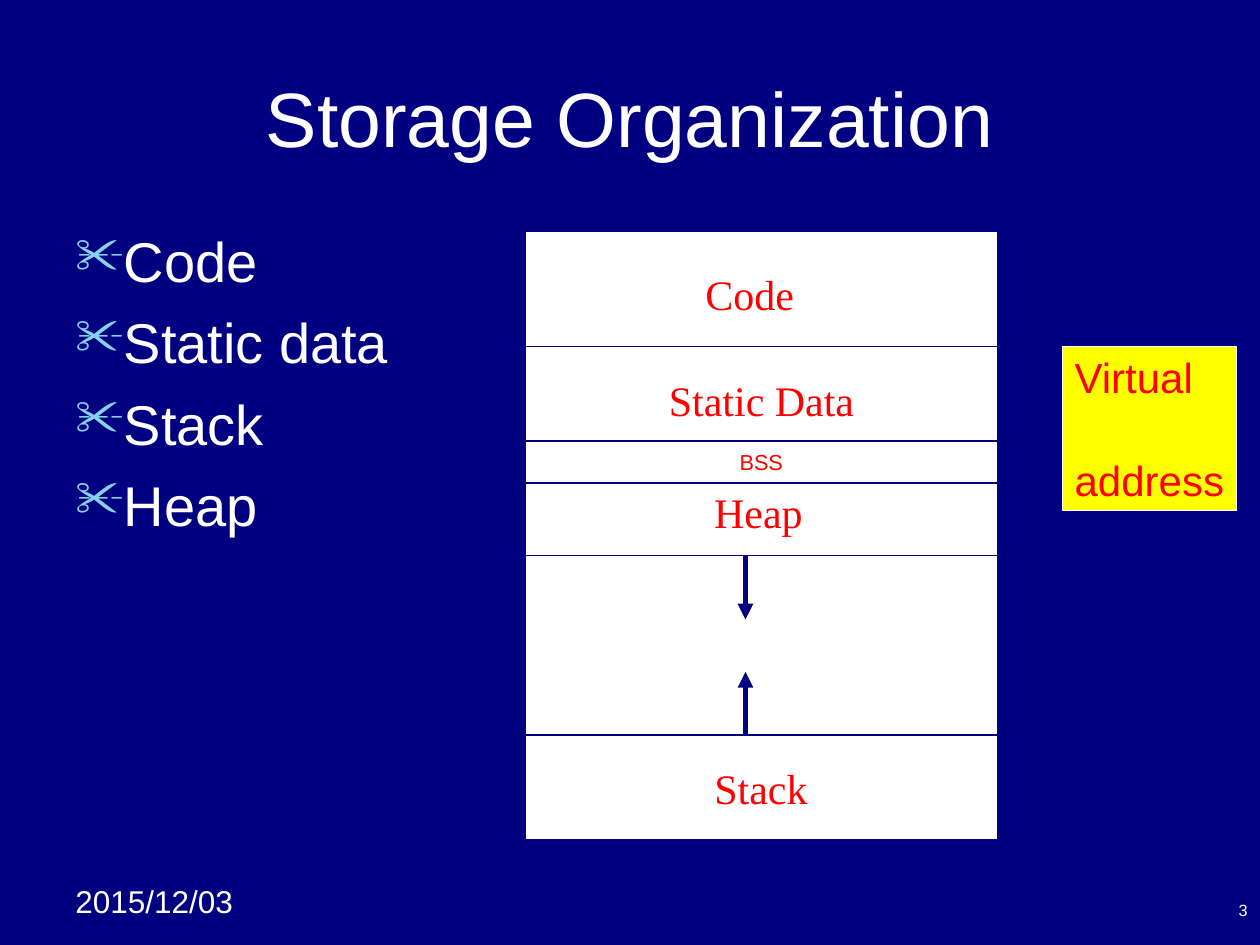
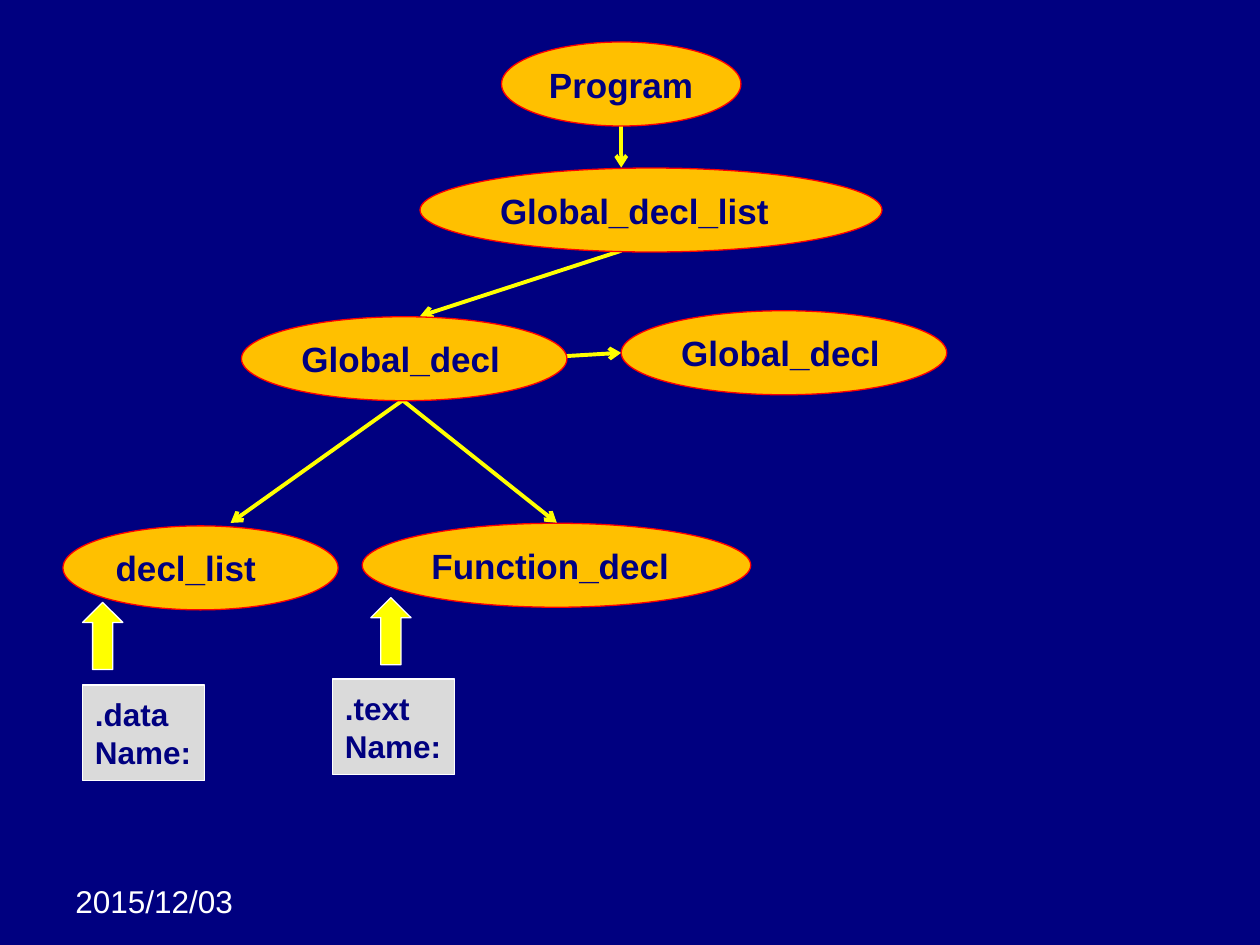
"""Build two slides on storage organization and the declaration tree."""
import lxml.etree
import pptx
import pptx.dml.color
import pptx.enum.shapes
import pptx.enum.text
import pptx.oxml.ns
import pptx.util

Pt = pptx.util.Pt
qn = pptx.oxml.ns.qn
SHAPE = pptx.enum.shapes.MSO_SHAPE
ANCHOR = pptx.enum.text.MSO_ANCHOR
ALIGN = pptx.enum.text.PP_ALIGN

NAVY, WHITE, RED, YELLOW = "000080", "FFFFFF", "FF0000", "FFFF00"
AMBER, GREY, SKY = "FFC000", "DADADA", "86D1EC"


def colour(hex_code):
    return pptx.dml.color.RGBColor.from_string(hex_code)


def write(shape, lines, size, ink, font="Arial", bold=False, align=ALIGN.LEFT,
          anchor=ANCHOR.MIDDLE, wrap=True, gap=0):
    frame = shape.text_frame
    frame_format = {
        "margin_left": Pt(7.2), "margin_right": Pt(7.2),
        "margin_top": Pt(3.6), "margin_bottom": Pt(3.6),
        "vertical_anchor": anchor, "word_wrap": wrap,
    }
    for key, value in frame_format.items():
        setattr(frame, key, value)
    for index, line in enumerate(lines):
        paragraph = frame.paragraphs[0] if index == 0 else frame.add_paragraph()
        paragraph.alignment = align
        paragraph.space_before = Pt(gap if index else 0)
        run = paragraph.add_run()
        run.text = line
        for key, value in {"name": font, "size": Pt(size), "bold": bold}.items():
            setattr(run.font, key, value)
        run.font.color.rgb = colour(ink)


deck = pptx.Presentation()
deck.slide_width, deck.slide_height = Pt(720), Pt(540)
background = deck.slide_master.background.fill
background.solid()
background.fore_color.rgb = colour(NAVY)

storage = deck.slides.add_slide(deck.slide_layouts[5])
tree = deck.slides.add_slide(deck.slide_layouts[6])

for slide in (storage, tree):
    date = slide.shapes.add_textbox(Pt(36), Pt(500.4), Pt(113.8), Pt(28.8))
    write(date, ["2015/12/03"], 18, WHITE, anchor=ANCHOR.TOP)

title = storage.shapes.title
for key, value in {"left": 36, "top": 21.6, "width": 648, "height": 90}.items():
    setattr(title, key, Pt(value))
write(title, ["Storage Organization"], 44, WHITE, align=ALIGN.CENTER)

areas = storage.shapes.add_textbox(Pt(36), Pt(126), Pt(648), Pt(356.4))
write(areas, ["Code", "Static data", "Stack", "Heap"], 32, WHITE,
      anchor=ANCHOR.TOP, gap=8)
for paragraph in areas.text_frame.paragraphs:
    properties = paragraph._p.get_or_add_pPr()
    properties.set("marL", str(Pt(27)))
    properties.set("indent", str(-Pt(27)))
    bullet_colour = lxml.etree.SubElement(properties, qn("a:buClr"))
    lxml.etree.SubElement(bullet_colour, qn("a:srgbClr"), val=SKY)
    lxml.etree.SubElement(properties, qn("a:buSzPct"), val="90000")
    lxml.etree.SubElement(properties, qn("a:buChar"), char="✂")

page_number = storage.shapes.add_textbox(Pt(552.2), Pt(509.8), Pt(167.8), Pt(19.4))
write(page_number, ["3"], 9.3, WHITE, align=ALIGN.RIGHT, anchor=ANCHOR.BOTTOM)

memory = storage.shapes.add_shape(SHAPE.RECTANGLE, Pt(300), Pt(132), Pt(270), Pt(348))
memory.shadow.inherit = False
memory.fill.solid()
memory.fill.fore_color.rgb = colour(WHITE)
memory.line.color.rgb = colour(NAVY)
memory.line.width = Pt(1)

dividers = [(300, y, 570, y) for y in (198, 252, 317.5, 420)]
growth = [(426, 420, 426, 384), (426, 318, 426, 354)]
branches = [
    (355, 143.3, 240, 180.7), (236.9, 223.9, 131.8, 298.8),
    (355, 55.4, 355, 95.8), (318.2, 203.8, 355, 201.6),
    (230.4, 229, 318.2, 298.8),
]
line_groups = [
    (storage, dividers, NAVY, 1, None),
    (storage, growth, NAVY, 3, "triangle"),
    (tree, branches, YELLOW, 2.25, "arrow"),
]
for slide, routes, ink, width, head in line_groups:
    for route in routes:
        link = slide.shapes.add_connector(
            pptx.enum.shapes.MSO_CONNECTOR.STRAIGHT, *map(Pt, route))
        link.line.color.rgb = colour(ink)
        link.line.width = Pt(width)
        if head:
            outline = link.line._get_or_add_ln()
            lxml.etree.SubElement(outline, qn("a:tailEnd"), type=head)
        lxml.etree.SubElement(link._element.spPr, qn("a:effectLst"))

region_text = {"size": 24, "ink": RED, "font": "Times New Roman",
               "align": ALIGN.CENTER, "wrap": False}
address_text = {"size": 24, "ink": RED, "wrap": False, "gap": 30}
bss_text = {"size": 12.4, "ink": RED, "align": ALIGN.CENTER}
node_text = {"size": 20, "ink": NAVY, "bold": True}
section_text = {"size": 18, "ink": NAVY, "bold": True, "wrap": False}

regions = [
    (396, 149.8, 64.8, 36, ["Code"]),
    (375.1, 210.2, 120.2, 36, ["Static Data"]),
    (401, 274.3, 64.8, 36, ["Heap"]),
    (401, 432, 67.7, 36, ["Stack"]),
]
address = [(607, 198, 99.4, 93.6, ["Virtual", "address"])]
bss = [(300, 252, 270, 24, ["BSS"])]
nodes = [
    (286.6, 24, 136.8, 48, ["Program"]),
    (240, 96, 264, 48, ["Global_decl_list"]),
    (138, 181, 186, 48, ["Global_decl"]),
    (355, 177.6, 186, 48, ["Global_decl"]),
    (36, 300.5, 157.2, 48, ["decl_list"]),
    (207, 299, 222, 48, ["Function_decl"]),
]
sections = [
    (47.2, 391.5, 69.8, 54.7, [".data", "Name:"]),
    (190, 388, 69.8, 54.7, [".text", "Name:"]),
]
pointers = [(47.2, 344.2, 23, 38.4, []), (211.9, 341.5, 23, 38.4, [])]

shape_groups = [
    (storage, SHAPE.RECTANGLE, regions, None, WHITE, 1, region_text),
    (storage, SHAPE.RECTANGLE, address, YELLOW, WHITE, 0.75, address_text),
    (storage, SHAPE.RECTANGLE, bss, WHITE, NAVY, 0.75, bss_text),
    (tree, SHAPE.OVAL, nodes, AMBER, RED, 0.75, node_text),
    (tree, SHAPE.RECTANGLE, sections, GREY, WHITE, 0.75, section_text),
    (tree, SHAPE.UP_ARROW, pointers, YELLOW, WHITE, 0.75, section_text),
]
for slide, preset, items, fill, edge, width, text_format in shape_groups:
    for *bounds, lines in items:
        block = slide.shapes.add_shape(preset, *map(Pt, bounds))
        block.shadow.inherit = False
        if fill:
            block.fill.solid()
            block.fill.fore_color.rgb = colour(fill)
        else:
            block.fill.background()
        block.line.color.rgb = colour(edge)
        block.line.width = Pt(width)
        write(block, lines, **text_format)

deck.save("out.pptx")
